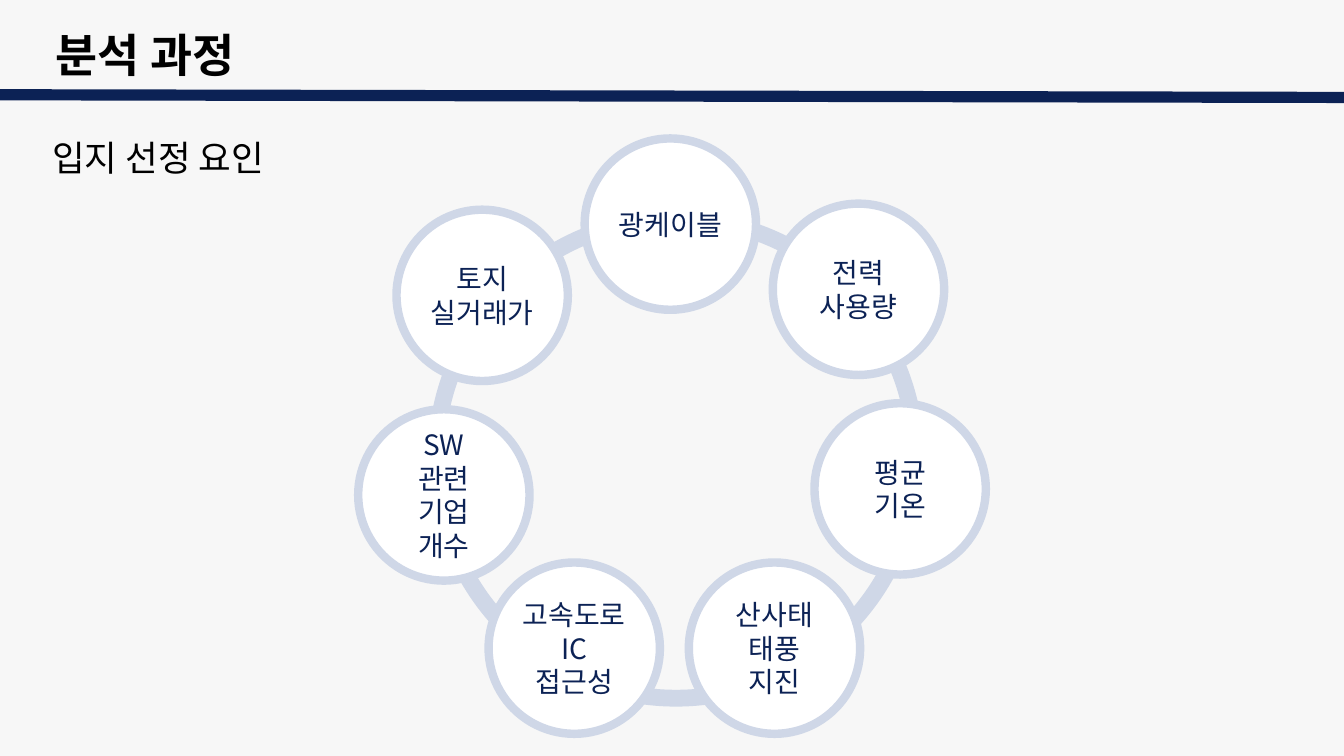
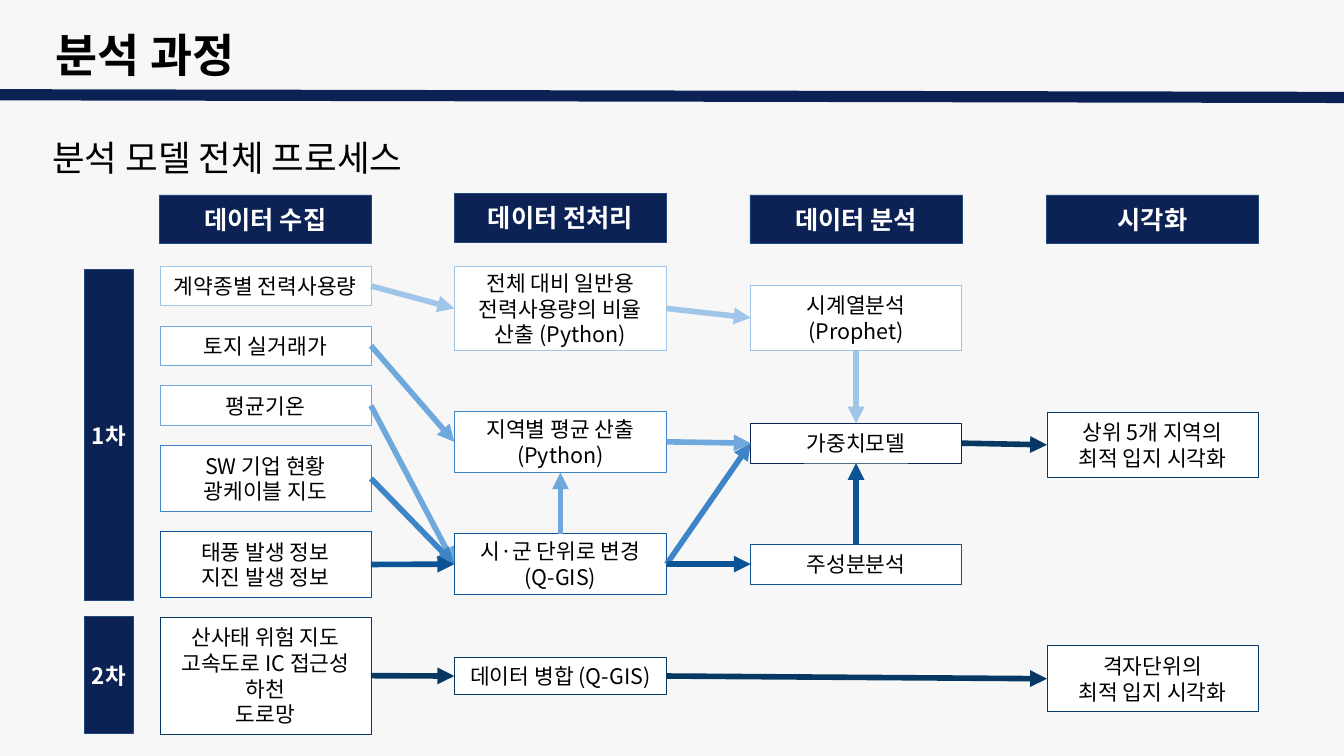
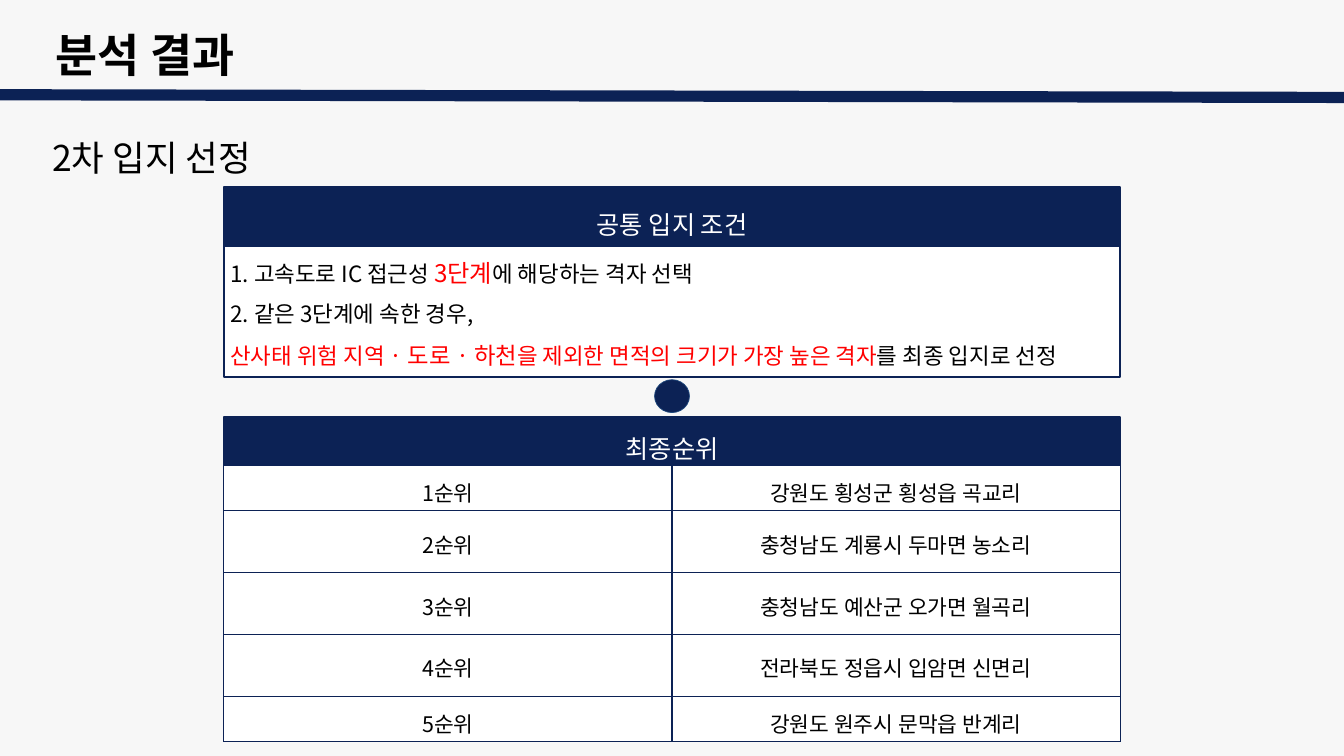
"""Build three slides on choosing a site: factors, process and result."""
from typing import NamedTuple

from lxml import etree
from pptx import Presentation
from pptx.dml.color import RGBColor
from pptx.enum import shapes, text
from pptx.oxml.ns import qn
from pptx.util import Inches, Pt

FONT = "Noto Sans CJK KR"
BACKGROUND = RGBColor(0xF7, 0xF7, 0xF7)
NAVY = RGBColor(0x0C, 0x22, 0x55)
EDGE = RGBColor(0x1F, 0x49, 0x7D)
RING = RGBColor(0xCF, 0xD7, 0xE7)
WHITE = RGBColor(0xFF, 0xFF, 0xFF)
BLACK = RGBColor(0, 0, 0)
RED = RGBColor(0xFF, 0, 0)
SKY = RGBColor(0x9F, 0xC5, 0xE8)
LIGHT = RGBColor(0x6F, 0xA8, 0xDC)
MID = RGBColor(0x3D, 0x85, 0xC6)
DEEP = RGBColor(0x0B, 0x53, 0x94)
DARK = RGBColor(0x07, 0x37, 0x63)

RECT = shapes.MSO_SHAPE.RECTANGLE
OVAL = shapes.MSO_SHAPE.OVAL
CENTER = text.PP_ALIGN.CENTER
LEFT = text.PP_ALIGN.LEFT
MIDDLE = text.MSO_ANCHOR.MIDDLE
TOP_SIDE, LEFT_SIDE, BOTTOM_SIDE, RIGHT_SIDE = range(4)
MARGIN = 0.1


class Place(NamedTuple):
    """Left, top, width and height in inches."""
    left: float
    top: float
    width: float
    height: float

    def inches(self) -> list:
        """Return the four values as lengths."""
        return [Inches(v) for v in self]


class Style(NamedTuple):
    """Look of the text in a box."""
    size: float
    color: RGBColor = BLACK
    bold: bool = False
    align: text.PP_ALIGN = CENTER
    spacing: float = 1.0
    font: str = FONT


class Bubble(NamedTuple):
    """One factor on the ring."""
    left: float
    top: float
    label: str


class Step(NamedTuple):
    """One box of the process."""
    column: int
    top: float
    height: float
    color: RGBColor
    label: str


class Arrow(NamedTuple):
    """An arrow between the sides of two steps."""
    start: str
    end: str
    color: RGBColor
    start_side: int = RIGHT_SIDE
    end_side: int = LEFT_SIDE


class Piece(NamedTuple):
    """A run with its own size and colour."""
    words: str
    size: float
    color: RGBColor


BUBBLE_SIZE = 2.55
BUBBLES = [
    Bubble(11.5, 3.03, "전력\n사용량"),
    Bubble(12.12, 6, "평균\n기온"),
    Bubble(10.25, 8.37, "산사태\n태풍\n지진"),
    Bubble(7.27, 8.37, "고속도로 IC\n접근성"),
    Bubble(5.33, 6.09, "SW\n관련\n기업\n개수"),
    Bubble(5.9, 3.12, "토지\n실거래가"),
    Bubble(8.7, 2.06, "광케이블"),
]

COLUMN_LEFTS = [2.38, 6.76, 11.17, 15.58]
COLUMN_WIDTHS = [3.14, 3.16, 3.14, 3.14]
HEADERS = [
    Place(2.37, 2.9, 3.16, 0.72),
    Place(6.76, 2.88, 3.16, 0.72),
    Place(11.16, 2.9, 3.16, 0.72),
    Place(15.57, 2.9, 3.16, 0.72),
]
HEADER_LABELS = ["데이터 수집", "데이터 전처리", "데이터 분석", "시각화"]
ROUNDS = {
    "1차": Place(1.26, 4.01, 0.72, 4.93),
    "2차": Place(1.26, 9.17, 0.72, 1.75),
}
STEPS = {
    "power": Step(0, 3.96, 0.59, SKY, "계약종별 전력사용량"),
    "land": Step(0, 4.85, 0.59, LIGHT, "토지 실거래가"),
    "climate": Step(0, 5.74, 0.59, LIGHT, "평균기온"),
    "firms": Step(0, 6.63, 0.98, MID, "SW 기업 현황\n광케이블 지도"),
    "hazards": Step(0, 7.91, 0.98, DEEP, "태풍 발생 정보\n지진 발생 정보"),
    "maps": Step(0, 9.18, 1.75, DARK,
                 "산사태 위험 지도\n고속도로 IC 접근성\n하천\n도로망"),
    "ratio": Step(1, 3.96, 1.26, SKY,
                  "전체 대비 일반용 전력사용량의 비율 산출 (Python)"),
    "average": Step(1, 6.12, 0.91, MID, "지역별 평균 산출\n(Python)"),
    "regions": Step(1, 7.94, 0.91, DEEP, "시·군 단위로 변경\n(Q-GIS)"),
    "merge": Step(1, 9.78, 0.56, DARK, "데이터 병합 (Q-GIS)"),
    "series": Step(2, 4.24, 0.98, SKY, "시계열분석 (Prophet)"),
    "weights": Step(2, 6.3, 0.59, NAVY, "가중치모델"),
    "components": Step(2, 8.1, 0.59, DEEP, "주성분분석"),
    "top_five": Step(3, 6.13, 0.98, DARK, "상위 5개 지역의\n최적 입지 시각화"),
    "grid": Step(3, 9.61, 0.98, DARK, "격자단위의\n최적 입지 시각화"),
}
ARROWS = [
    Arrow("power", "ratio", SKY),
    Arrow("ratio", "series", SKY),
    Arrow("land", "average", LIGHT),
    Arrow("average", "weights", LIGHT),
    Arrow("series", "weights", SKY, BOTTOM_SIDE, TOP_SIDE),
    Arrow("climate", "regions", LIGHT),
    Arrow("firms", "regions", MID),
    Arrow("regions", "weights", MID),
    Arrow("hazards", "regions", DEEP),
    Arrow("regions", "components", DEEP),
    Arrow("components", "weights", DEEP, TOP_SIDE, BOTTOM_SIDE),
    Arrow("maps", "merge", DARK),
    Arrow("regions", "average", LIGHT, TOP_SIDE, BOTTOM_SIDE),
    Arrow("weights", "top_five", DARK),
    Arrow("merge", "grid", DARK),
]

CONDITIONS = [
    [Piece("1. 고속도로 IC 접근성 ", 24, BLACK), Piece("3단계", 26, RED),
     Piece("에 해당하는 격자 선택", 24, BLACK)],
    [Piece("2. 같은 3단계에 속한 경우,", 24, BLACK)],
    [Piece("산사태 위험 지역 ", 24, RED), Piece("· 도로 · 하천", 25, RED),
     Piece("을 제외한 면적의 크기가 가장 높은 격자", 24, RED),
     Piece("를 최종 입지로 선정", 24, BLACK)],
]
SITES = [
    "강원도 횡성군 횡성읍 곡교리",
    "충청남도 계룡시 두마면 농소리",
    "충청남도 예산군 오가면 월곡리",
    "전라북도 정읍시 입암면 신면리",
    "강원도 원주시 문막읍 반계리",
]
ROW_HEIGHTS = [0.68, 0.92, 0.92, 0.92, 0.68]


def style_run(r, size: float, color: RGBColor, bold: bool = False,
              font: str = FONT) -> None:
    """Set size, colour and fonts of a run."""
    r.font.size = Pt(size)
    r.font.bold = bold
    r.font.color.rgb = color
    r.font.name = font
    etree.SubElement(r.font._element, qn("a:ea")).set("typeface", FONT)


def set_margins(box, side: float = MARGIN, end: float = MARGIN) -> None:
    """Set the inner margins of a text frame or a cell."""
    box.margin_left = box.margin_right = Inches(side)
    box.margin_top = box.margin_bottom = Inches(end)


def write(tf, words: str, style: Style) -> None:
    """Fill a text frame with evenly styled lines."""
    tf.text = words
    for p in tf.paragraphs:
        p.alignment = style.align
        p.line_spacing = style.spacing
        for r in p.runs:
            style_run(r, style.size, style.color, style.bold, style.font)


def add_box(s, kind, place: Place, fill: RGBColor | None, line: RGBColor,
            width: float, words: str = "", style: Style | None = None):
    """Draw a preset shape with optional centred text."""
    sp = s.shapes.add_shape(kind, *place.inches())
    sp.shadow.inherit = False
    if fill is None:
        sp.fill.background()
    else:
        sp.fill.solid()
        sp.fill.fore_color.rgb = fill
    sp.line.color.rgb = line
    sp.line.width = Pt(width)
    tf = sp.text_frame
    tf.word_wrap = True
    tf.vertical_anchor = MIDDLE
    set_margins(tf)
    if style:
        write(tf, words, style)
    return sp


def add_text(s, place: Place, words: str, style: Style):
    """Add a wrapping text box and return its frame."""
    tf = s.shapes.add_textbox(*place.inches()).text_frame
    tf.word_wrap = True
    set_margins(tf)
    write(tf, words, style)
    return tf


def add_line(s, start: tuple, end: tuple, color: RGBColor, width: float):
    """Draw a straight line without shadow."""
    line = s.shapes.add_connector(
        shapes.MSO_CONNECTOR.STRAIGHT, *[Inches(v) for v in (*start, *end)])
    line.line.color.rgb = color
    line.line.width = Pt(width)
    etree.SubElement(line._element.spPr, qn("a:effectLst"))
    return line


def add_arrow(s, boxes: dict, arrow: Arrow) -> None:
    """Join two steps with an arrow."""
    line = add_line(s, (0, 0), (1, 1), arrow.color, 6)
    line.begin_connect(boxes[arrow.start], arrow.start_side)
    line.end_connect(boxes[arrow.end], arrow.end_side)
    ln = line._element.spPr.find(qn("a:ln"))
    etree.SubElement(ln, qn("a:tailEnd")).set("type", "triangle")


def add_slide(prs, title: str, subtitle: str):
    """Add a slide with the shared background, title, rule and subtitle."""
    s = prs.slides.add_slide(prs.slide_layouts[6])
    s.background.fill.solid()
    s.background.fill.fore_color.rgb = BACKGROUND
    add_line(s, (0, 1.41), (20, 1.45), NAVY, 12)
    tf = add_text(s, Place(0.68, 0.17, 2.95, 1.28), title,
                  Style(49, bold=True))
    set_margins(tf, end=0.05)
    tf.vertical_anchor = MIDDLE
    tf = add_text(s, Place(0.68, 1.92, 8.84, 0.84), subtitle,
                  Style(38, align=LEFT))
    tf.auto_size = text.MSO_AUTO_SIZE.SHAPE_TO_FIT_TEXT
    return s


def border_cell(cell, color: RGBColor, width: float) -> None:
    """Draw all four borders of a cell."""
    tc_pr = cell._tc.get_or_add_tcPr()
    for side in ("lnL", "lnR", "lnT", "lnB"):
        ln = etree.SubElement(tc_pr, qn(f"a:{side}"), w=str(Pt(width)))
        fill = etree.SubElement(ln, qn("a:solidFill"))
        etree.SubElement(fill, qn("a:srgbClr"), val=str(color))


def add_ranking(s) -> None:
    """Add the table of ranked sites."""
    place = Place(3.33, 6.92, 13.34, sum(ROW_HEIGHTS))
    table = s.shapes.add_table(len(SITES), 2, *place.inches()).table
    table.first_row = table.horz_banding = False
    style = Style(23, spacing=1.15)
    for i, (site, height) in enumerate(zip(SITES, ROW_HEIGHTS)):
        table.rows[i].height = Inches(height)
        for j, words in enumerate((f"{i + 1}순위", site)):
            cell = table.cell(i, j)
            set_margins(cell)
            cell.vertical_anchor = MIDDLE
            border_cell(cell, NAVY, 1.5)
            cell.fill.solid()
            cell.fill.fore_color.rgb = WHITE
            write(cell.text_frame, words, style)


def build_factors(prs) -> None:
    """Draw the ring of site factors."""
    s = add_slide(prs, "분석 과정", "입지 선정 요인")
    add_box(s, OVAL, Place(6.49, 3.25, 7.14, 7.14), None, RING, 18)
    for b in BUBBLES:
        add_box(s, OVAL, Place(b.left, b.top, BUBBLE_SIZE, BUBBLE_SIZE),
                WHITE, RING, 9, b.label, Style(30, NAVY))


def build_process(prs) -> None:
    """Draw the flow from collected data to maps."""
    s = add_slide(prs, "분석 과정", "분석 모델 전체 프로세스")
    boxes = {}
    for name, step in STEPS.items():
        place = Place(COLUMN_LEFTS[step.column], step.top,
                      COLUMN_WIDTHS[step.column], step.height)
        boxes[name] = add_box(s, RECT, place, WHITE, step.color, 0.75,
                              step.label, Style(23))
    for arrow in ARROWS:
        add_arrow(s, boxes, arrow)
    for label, place in ROUNDS.items():
        add_box(s, RECT, place, NAVY, EDGE, 0.75, label,
                Style(24, WHITE, bold=True))
    for label, place in zip(HEADER_LABELS, HEADERS):
        add_box(s, RECT, place, NAVY, EDGE, 0.75, label,
                Style(27, WHITE, bold=True))


def build_result(prs) -> None:
    """Show the shared conditions and the final ranking."""
    s = add_slide(prs, "분석 결과", "2차 입지 선정")
    add_ranking(s)
    banner = Style(27, WHITE, spacing=1.5)
    add_box(s, RECT, Place(3.33, 6.21, 13.34, 0.69), NAVY, NAVY, 2.25,
            "최종순위", banner)
    tf = add_box(s, RECT, Place(3.33, 3.51, 13.34, 2.1), WHITE, NAVY,
                 2.25).text_frame
    for i, pieces in enumerate(CONDITIONS):
        p = tf.add_paragraph() if i else tf.paragraphs[0]
        p.alignment = LEFT
        p.line_spacing = 1.5
        for piece in pieces:
            r = p.add_run()
            r.text = piece.words
            style_run(r, piece.size, piece.color)
    add_box(s, RECT, Place(3.33, 2.78, 13.34, 0.88), NAVY, NAVY, 2.25,
            "공통 입지 조건", banner._replace(font="Roboto"))
    add_box(s, OVAL, Place(9.74, 5.65, 0.52, 0.49), NAVY, EDGE, 0.75)


def main() -> None:
    """Build and save the slides."""
    prs = Presentation()
    prs.slide_width, prs.slide_height = Inches(20), Inches(11.25)
    build_factors(prs)
    build_process(prs)
    build_result(prs)
    prs.save("out.pptx")


if __name__ == "__main__":
    main()
